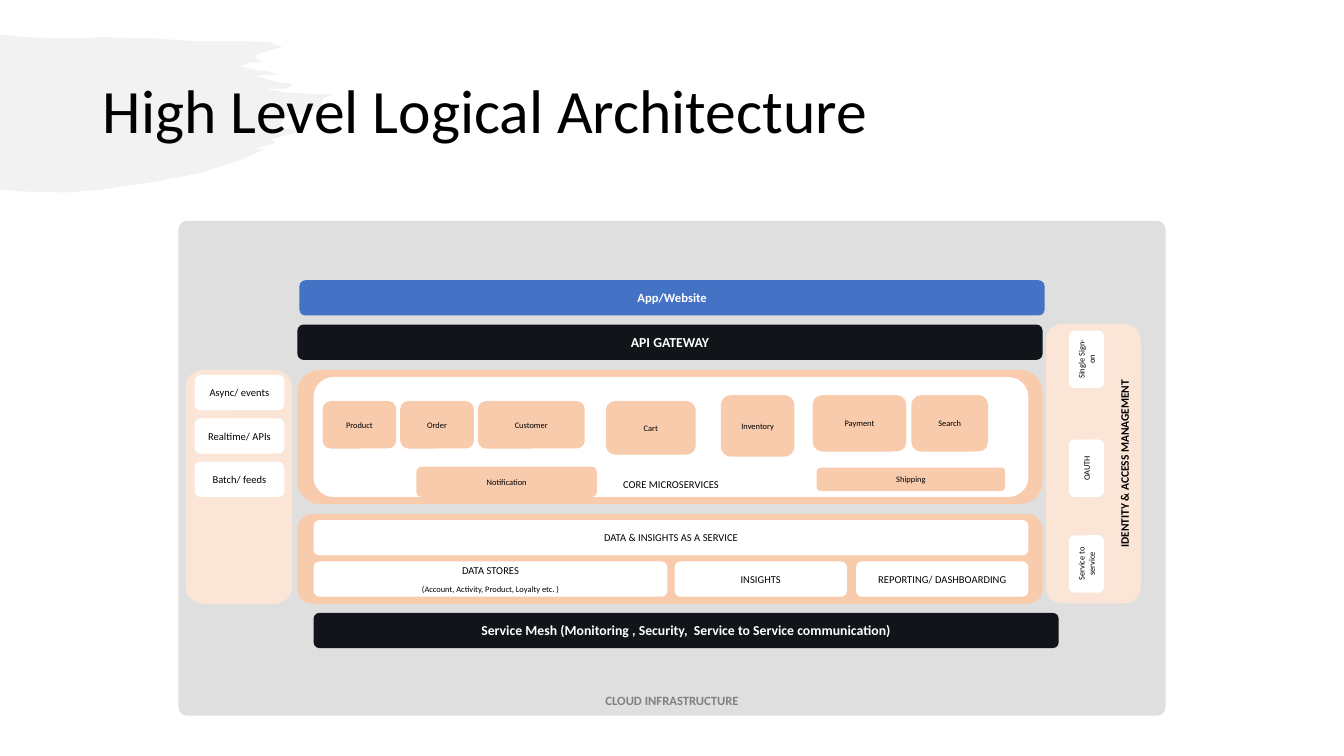
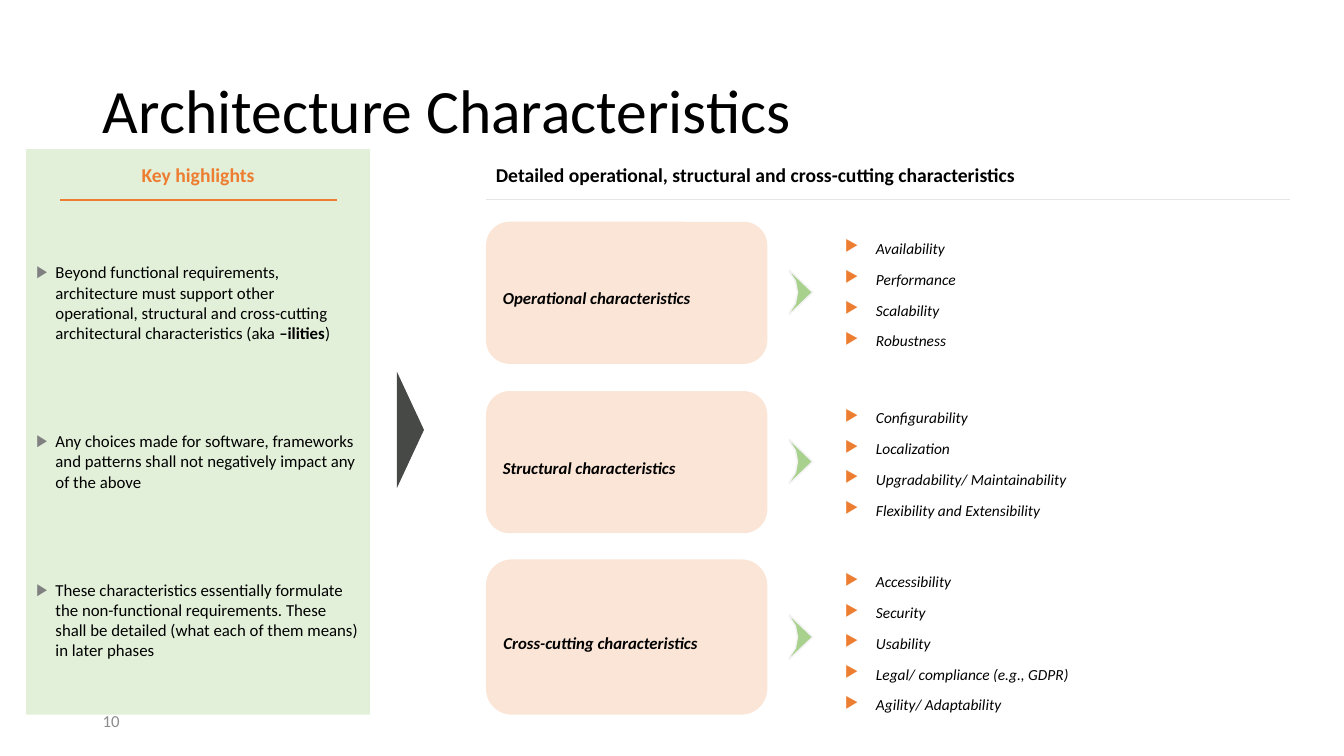
from lxml import etree
from pptx import Presentation
from pptx.dml.color import RGBColor
from pptx.enum.shapes import MSO_CONNECTOR, MSO_SHAPE
from pptx.enum.text import MSO_ANCHOR, MSO_AUTO_SIZE, PP_ALIGN
from pptx.oxml.ns import qn
from pptx.util import Pt

PX = 9144
FONT = "Calibri"
BLACK = RGBColor(0x00, 0x00, 0x00)
WHITE = RGBColor(0xFF, 0xFF, 0xFF)
INK = RGBColor(0x11, 0x15, 0x1A)
BLUE = RGBColor(0x44, 0x72, 0xC4)
PEACH = RGBColor(0xF8, 0xCB, 0xAD)
PALE_PEACH = RGBColor(0xFB, 0xE5, 0xD6)
ORANGE = RGBColor(0xED, 0x7D, 0x31)
PALE_GREEN = RGBColor(0xE2, 0xF0, 0xD9)
GREEN = RGBColor(0xA9, 0xD1, 0x8E)
GREY = RGBColor(0x80, 0x80, 0x80)
NUMBER_GREY = RGBColor(0x8C, 0x8C, 0x8C)
PANEL_GREY = RGBColor(0xDF, 0xDF, 0xDF)
BRUSH_GREY = RGBColor(0xF2, 0xF2, 0xF2)
RULE_GREY = RGBColor(0xE7, 0xE6, 0xE6)
CHARCOAL = RGBColor(0x46, 0x49, 0x46)
ROUNDED = MSO_SHAPE.ROUNDED_RECTANGLE
TRIANGLE = MSO_SHAPE.ISOSCELES_TRIANGLE
STRAIGHT = MSO_CONNECTOR.STRAIGHT
LEFT, CENTER = PP_ALIGN.LEFT, PP_ALIGN.CENTER
TOP, MIDDLE, BOTTOM = MSO_ANCHOR.TOP, MSO_ANCHOR.MIDDLE, MSO_ANCHOR.BOTTOM
NO_FIT = MSO_AUTO_SIZE.NONE


def format_text(frame, size, color=BLACK, bold=False, italic=False, align=LEFT, anchor=MIDDLE):
    frame.word_wrap = True
    frame.auto_size = NO_FIT
    frame.vertical_anchor = anchor
    for para in frame.paragraphs:
        para.alignment = align
        for run in para.runs:
            run.font.name = FONT
            run.font.size = Pt(size)
            run.font.bold = bold
            run.font.italic = italic
            run.font.color.rgb = color


def add_box(page, kind, bounds, fill):
    box = page.shapes.add_shape(kind, *[value * PX for value in bounds])
    box.shadow.inherit = False
    box.fill.solid()
    box.fill.fore_color.rgb = fill
    box.line.fill.background()
    return box


deck = Presentation()
deck.slide_width = 1333 * PX
deck.slide_height = 750 * PX

pages = []
for layout, heading in ((5, "High Level Logical Architecture"), (1, "Architecture Characteristics")):
    page = deck.slides.add_slide(deck.slide_layouts[layout])
    title = page.shapes.title
    title.left, title.top, title.width, title.height = 92 * PX, 40 * PX, 1150 * PX, 145 * PX
    title.text_frame.text = heading
    title.text_frame.paragraphs[0].line_spacing = 0.9
    format_text(title.text_frame, 44)
    pages.append(page)
logical_page, traits_page = pages

brush_points = (
    (0, 34), (25, 37), (66, 38), (102, 37), (151, 38), (194, 41), (248, 41), (268, 42),
    (280, 47), (271, 49), (255, 54), (253, 57), (256, 59), (262, 62), (248, 62), (238, 66),
    (246, 68), (256, 70), (266, 71), (275, 74), (251, 75), (263, 78), (273, 81), (280, 82),
    (288, 83), (290, 85), (284, 88), (263, 88), (285, 92), (330, 94), (321, 97), (318, 106),
    (307, 111), (300, 113), (283, 116), (280, 120), (278, 125), (274, 128), (308, 128),
    (269, 138), (273, 142), (252, 148), (263, 148), (235, 160), (197, 172), (150, 181),
    (102, 188), (65, 191), (23, 190), (0, 188),
)
builder = logical_page.shapes.build_freeform(*brush_points[0], scale=PX)
builder.add_line_segments(brush_points[1:], close=True)
brush = builder.convert_to_shape()
brush.shadow.inherit = False
brush.fill.solid()
brush.fill.fore_color.rgb = BRUSH_GREY
brush.line.fill.background()
logical_page.shapes._spTree.insert(2, brush._element)

feeds = ("Async/ events", "Realtime/ APIs", "Batch/ feeds")
box_groups = (
    (PANEL_GREY, 9, GREY, True, 0, BOTTOM, (("CLOUD INFRASTRUCTURE", 177, 219, 979, 491),)),
    (PEACH, 9, BLACK, False, 0, MIDDLE, (("", 295, 367, 739, 133), ("", 295, 510, 739, 89))),
    (PALE_PEACH, 9, BLACK, False, 0, MIDDLE, (("", 184, 367, 106, 232),)),
    (PALE_PEACH, 8.2, BLACK, True, 270, BOTTOM,
     (("IDENTITY & ACCESS MANAGEMENT", 946, 413, 277, 94),)),
    (WHITE, 7.5, BLACK, False, 0, BOTTOM, (("CORE MICROSERVICES", 311, 374, 709, 119),)),
    (BLUE, 9, WHITE, True, 0, MIDDLE, (("App/Website", 297, 278, 739, 35),)),
    (INK, 9.8, WHITE, True, 0, MIDDLE, (
        ("API GATEWAY", 295, 322, 739, 35),
        ("Service Mesh (Monitoring , Security,  Service to Service communication)",
         311, 608, 739, 35),
    )),
    (WHITE, 7.5, BLACK, False, 0, MIDDLE, (
        ("DATA & INSIGHTS AS A SERVICE", 311, 516, 709, 35),
        ("DATA STORES\n(Account, Activity, Product, Loyalty etc. )", 311, 557, 351, 35),
        ("INSIGHTS", 669, 557, 171, 35),
        ("REPORTING/ DASHBOARDING", 849, 557, 171, 35),
    )),
    (WHITE, 7.5, BLACK, False, 0, MIDDLE,
     [(feed, 193, 372 + 43 * row, 89, 35) for row, feed in enumerate(feeds)]),
    (WHITE, 6, BLACK, False, 270, MIDDLE, (
        ("Single Sign-on", 1049, 339, 57, 35),
        ("OAUTH", 1049, 447, 57, 35),
        ("Service to service", 1049, 542, 57, 35),
    )),
    (PEACH, 6, BLACK, False, 0, MIDDLE, (
        ("Product", 320, 398, 73, 47),
        ("Order", 397, 398, 73, 47),
        ("Customer", 474, 398, 106, 47),
        ("Cart", 601, 398, 89, 53),
        ("Inventory", 715, 392, 73, 61),
        ("Payment", 806, 392, 93, 56),
        ("Search", 904, 392, 76, 56),
        ("Notification", 413, 463, 179, 30),
        ("Shipping", 810, 464, 187, 23),
    )),
)
boxes = {}
for fill, size, color, bold, rotation, anchor, items in box_groups:
    for text, *bounds in items:
        box = add_box(logical_page, ROUNDED, bounds, fill)
        box.rotation = rotation
        frame = box.text_frame
        frame.margin_left = frame.margin_right = 7 * PX
        frame.text = text
        format_text(frame, size, color, bold, align=CENTER, anchor=anchor)
        boxes[text.split("\n")[0]] = box
boxes["CLOUD INFRASTRUCTURE"].adjustments[0] = 0.017
boxes["CORE MICROSERVICES"].text_frame.margin_bottom = 0
store_detail = boxes["DATA STORES"].text_frame.paragraphs[1]
store_detail.space_before = Pt(6)
store_detail.runs[0].font.size = Pt(6)

highlights = traits_page.placeholders[1]
highlights.left, highlights.top, highlights.width, highlights.height = (
    26 * PX, 148 * PX, 341 * PX, 561 * PX)
highlights.fill.solid()
highlights.fill.fore_color.rgb = PALE_GREEN
frame = highlights.text_frame
frame.margin_top = 112 * PX
frame.text = "\n".join((
    "Beyond functional requirements, architecture must support other operational, structural "
    "and cross-cutting architectural characteristics (aka ",
    "Any choices made for software, frameworks and patterns shall not negatively impact any "
    "of the above",
    "These characteristics essentially formulate the non-functional requirements. These shall "
    "be detailed (what each of them means) in later phases",
))
for text in ("–ilities", ")"):
    frame.paragraphs[0].add_run().text = text
format_text(frame, 12, anchor=TOP)
frame.paragraphs[0].runs[1].font.bold = True
for index, para in enumerate(frame.paragraphs):
    para.space_before = Pt(63 if index else 0)
bullet_lists = [(frame, 19, GREY)]

labels = (
    ("10", (92, 695, 300, 40), 12, NUMBER_GREY, False, LEFT),
    ("Key highlights", (26, 154, 341, 38), 14, ORANGE, True, CENTER),
    ("Detailed operational, structural and cross-cutting characteristics",
     (482, 154, 797, 38), 14, BLACK, True, LEFT),
)
for text, bounds, size, color, bold, align in labels:
    label = traits_page.shapes.add_textbox(*[value * PX for value in bounds])
    label.text_frame.text = text
    format_text(label.text_frame, size, color, bold, align=align)

for start, end, color, weight in ((60, 334, ORANGE, 1.5), (482, 1279, RULE_GREY, 1)):
    rule = traits_page.shapes.add_connector(STRAIGHT, start * PX, 198 * PX, end * PX, 198 * PX)
    rule.line.color.rgb = color
    rule.line.width = Pt(weight)
    etree.SubElement(rule._element.spPr, qn("a:effectLst"))

pointer = add_box(traits_page, TRIANGLE, (349, 413, 116, 27), CHARCOAL)
pointer.rotation = 90

families = (
    ("Operational characteristics", 220, 141, TOP,
     ("Availability", "Performance", "Scalability", "Robustness")),
    ("Structural characteristics", 388, 141, TOP,
     ("Configurability", "Localization", "Upgradability/ Maintainability",
      "Flexibility and Extensibility")),
    ("Cross-cutting characteristics", 555, 154, MIDDLE,
     ("Accessibility", "Security", "Usability", "Legal/ compliance (e.g., GDPR)",
      "Agility/ Adaptability")),
)
arrow_points = ((23, 0), (0, 22), (0, 20), (6, 11), (8, 0), (6, -11), (0, -20))
for name, top, height, anchor, traits in families:
    box = add_box(traits_page, ROUNDED, (482, top, 279, height), PALE_PEACH)
    box.text_frame.text = name
    format_text(box.text_frame, 12, bold=True, italic=True)
    box.text_frame.paragraphs[0].line_spacing = Pt(22)

    middle = top + height // 2
    builder = traits_page.shapes.build_freeform(783, middle - 22, scale=PX)
    builder.add_line_segments([(783 + x, middle + y) for x, y in arrow_points], close=True)
    arrow = builder.convert_to_shape()
    arrow.shadow.inherit = False
    arrow.fill.solid()
    arrow.fill.fore_color.rgb = GREEN
    arrow.line.color.rgb = BRUSH_GREY
    arrow.line.width = Pt(1)

    trait_box = traits_page.shapes.add_textbox(828 * PX, top * PX, 451 * PX, height * PX)
    frame = trait_box.text_frame
    frame.text = "\n".join(traits)
    format_text(frame, 11, italic=True, anchor=anchor)
    for para in frame.paragraphs:
        para.line_spacing = Pt(22)
    bullet_lists.append((frame, 31, ORANGE))

for frame, indent, color in bullet_lists:
    for para in frame.paragraphs:
        properties = para._p.get_or_add_pPr()
        properties.set("marL", str(indent * PX))
        properties.set("indent", str(-indent * PX))
        bullet_color = etree.SubElement(properties, qn("a:buClr"))
        etree.SubElement(bullet_color, qn("a:srgbClr"), val=str(color))
        etree.SubElement(properties, qn("a:buChar"), char="▶")

deck.save("out.pptx")
